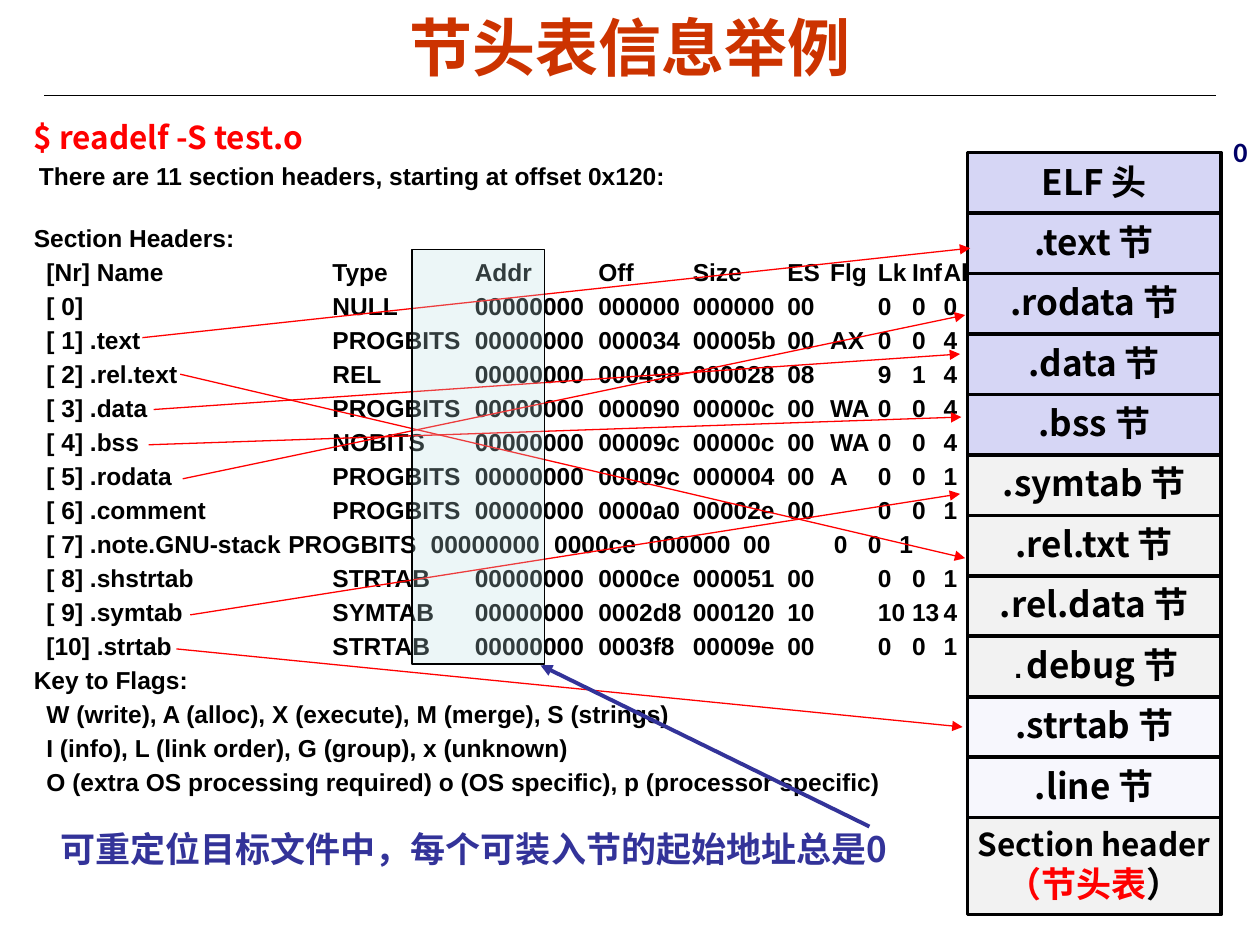
from typing import NamedTuple, Optional

from lxml import etree
from pptx import Presentation
from pptx import util as u
from pptx.dml.color import RGBColor
from pptx.enum import shapes, text
from pptx.oxml import ns

BLACK = RGBColor(0x00, 0x00, 0x00)
RED = RGBColor(0xFF, 0x00, 0x00)
TITLE_RED = RGBColor(0xCC, 0x33, 0x00)
NAVY = RGBColor(0x00, 0x00, 0x66)
INDIGO = RGBColor(0x33, 0x33, 0x99)
LAVENDER = RGBColor(0xD6, 0xD6, 0xF5)
GREY = RGBColor(0xF2, 0xF2, 0xF2)
TEAL = RGBColor(0xBB, 0xE0, 0xE3)
SANS, CJK, MONO = "Arial", "Noto Sans CJK SC", "Courier New"


class Run(NamedTuple):
    words: str
    size: float = 14
    color: RGBColor = BLACK
    font: str = SANS


class Section(NamedTuple):
    lines: list[list[Run]]
    fill: RGBColor
    opacity: Optional[int] = None
    height: float = 0.48
    spacing: float = 0.94


class Arrow(NamedTuple):
    start: tuple[float, float]
    end: tuple[float, float]
    color: RGBColor = RED
    width: float = 0.75


def add_runs(paragraph, runs: list[Run]) -> None:
    for item in runs:
        run = paragraph.add_run()
        run.text = item.words
        font = run.font
        font.size, font.bold, font.name = u.Pt(item.size), True, item.font
        font.color.rgb = item.color
        east_asian = etree.Element(ns.qn("a:ea"), typeface=CJK)
        run._r.rPr.find(ns.qn("a:latin")).addnext(east_asian)


def add_text(slide, box: tuple[float, ...], wrap: bool = True):
    frame = slide.shapes.add_textbox(*map(u.Inches, box)).text_frame
    frame.word_wrap = wrap
    return frame


def set_layout(paragraph, left: float, tabs: tuple[float, ...]) -> None:
    props = paragraph._p.get_or_add_pPr()
    if left:
        props.set("marL", str(u.Inches(left)))
    if tabs:
        stops = etree.SubElement(props, ns.qn("a:tabLst"))
        for stop in tabs:
            etree.SubElement(stops, ns.qn("a:tab"), pos=str(u.Inches(stop)), algn="l")


def add_box(slide, box: tuple[float, ...], fill: RGBColor, opacity: Optional[int], width: float):
    shape = slide.shapes.add_shape(shapes.MSO_SHAPE.RECTANGLE, *map(u.Inches, box))
    shape.shadow.inherit = False
    shape.fill.solid()
    shape.fill.fore_color.rgb = fill
    if opacity is not None:
        color = shape._element.spPr.find(".//" + ns.qn("a:srgbClr"))
        etree.SubElement(color, ns.qn("a:alpha"), val=str(opacity * 1000))
    shape.line.color.rgb = BLACK
    shape.line.width = u.Pt(width)
    return shape


def add_section(slide, section: Section, top: float) -> None:
    shape = add_box(slide, (7.68, top, 2.01, section.height), section.fill, section.opacity, 2)
    frame = shape.text_frame
    frame.word_wrap = False
    frame.vertical_anchor = text.MSO_ANCHOR.MIDDLE
    for index, runs in enumerate(section.lines):
        paragraph = frame.add_paragraph() if index else frame.paragraphs[0]
        paragraph.alignment = text.PP_ALIGN.CENTER
        paragraph.line_spacing = section.spacing
        add_runs(paragraph, runs)


def add_line(slide, arrow: Arrow, head: bool = True) -> None:
    line = slide.shapes.add_connector(
        shapes.MSO_CONNECTOR.STRAIGHT, *map(u.Inches, arrow.start + arrow.end))
    line.line.color.rgb = arrow.color
    line.line.width = u.Pt(arrow.width)
    if head:
        etree.SubElement(line.line._get_or_add_ln(), ns.qn("a:tailEnd"), type="triangle")
    etree.SubElement(line._element.spPr, ns.qn("a:effectLst"))


# Columns of the readelf table, measured from the left edge of the text
COLUMNS = (0.1, 2.37, 3.5, 4.48, 5.23, 5.98, 6.32, 6.7, 6.97, 7.22)
LONG_NAME_SHIFT = 0.35
HEADERS = [
    ("[Nr] Name", "Type", "Addr", "Off", "Size", "ES", "Flg", "Lk", "Inf", "Al"),
    ("[ 0]", "NULL", "00000000", "000000", "000000", "00", "", "0", "0", "0"),
    ("[ 1] .text", "PROGBITS", "00000000", "000034", "00005b", "00", "AX", "0", "0", "4"),
    ("[ 2] .rel.text", "REL", "00000000", "000498", "000028", "08", "", "9", "1", "4"),
    ("[ 3] .data", "PROGBITS", "00000000", "000090", "00000c", "00", "WA", "0", "0", "4"),
    ("[ 4] .bss", "NOBITS", "00000000", "00009c", "00000c", "00", "WA", "0", "0", "4"),
    ("[ 5] .rodata", "PROGBITS", "00000000", "00009c", "000004", "00", "A", "0", "0", "1"),
    ("[ 6] .comment", "PROGBITS", "00000000", "0000a0", "00002e", "00", "", "0", "0", "1"),
    ("[ 7] .note.GNU-stack", "PROGBITS", "00000000", "0000ce", "000000", "00", "", "0", "0", "1"),
    ("[ 8] .shstrtab", "STRTAB", "00000000", "0000ce", "000051", "00", "", "0", "0", "1"),
    ("[ 9] .symtab", "SYMTAB", "00000000", "0002d8", "000120", "10", "", "10", "13", "4"),
    ("[10] .strtab", "STRTAB", "00000000", "0003f8", "00009e", "00", "", "0", "0", "1"),
]
FLAGS = [
    "W (write), A (alloc), X (execute), M (merge), S (strings)",
    "I (info), L (link order), G (group), x (unknown)",
    "O (extra OS processing required) o (OS specific), p (processor specific)",
]


def add_listing(slide) -> None:
    frame = add_text(slide, (0.17, 0.91, 9, 5.66))
    command = frame.paragraphs[0]
    command.line_spacing = 0.95
    add_runs(command, [Run("$ readelf -S test.o", 18, RED, CJK)])

    def add_row(words: str, left: float = 0, tabs: tuple[float, ...] = (), before: float = 3.5) -> None:
        paragraph = frame.add_paragraph()
        set_layout(paragraph, left, tabs)
        paragraph.line_spacing = 0.95
        paragraph.space_before = u.Pt(before)
        add_runs(paragraph, [Run(words)])

    add_row("There are 11 section headers, starting at offset 0x120:", 0.04)
    add_row("Section Headers:", before=19.5)
    for row in HEADERS:
        shift = LONG_NAME_SHIFT if "GNU-stack" in row[0] else 0
        stops = COLUMNS[:1] + tuple(stop - shift for stop in COLUMNS[1:])
        add_row("\t" + "\t".join(row), tabs=stops)
    add_row("Key to Flags:")
    for flag in FLAGS:
        add_row(flag, 0.1)


def named(name: str, fill: RGBColor, opacity: Optional[int] = None) -> Section:
    return Section([[Run(f"{name} 节", 20, BLACK, CJK)]], fill, opacity)


SECTIONS = [
    Section([[Run("ELF 头", 20, BLACK, CJK)]], LAVENDER, spacing=0.98),
    *(named(name, LAVENDER) for name in (".text", ".rodata", ".data", ".bss")),
    *(named(name, GREY) for name in (".symtab", ".rel.txt", ".rel.data")),
    Section([[Run(".", 16, BLACK, MONO), Run("debug 节", 20, BLACK, CJK)]], GREY),
    *(named(name, LAVENDER, 19) for name in (".strtab", ".line")),
    Section([[Run("Section header", 18, BLACK, CJK)],
             [Run("（节头表", 20, RED, CJK), Run("）", 20, BLACK, CJK)]],
            GREY, height=0.77, spacing=0.98),
]
SECTION_TOP, SECTION_STEP = 1.21, 0.48
LINKS = [
    Arrow((1.13, 2.68), (7.7, 1.97)),
    Arrow((1.43, 2.97), (7.66, 4.43)),
    Arrow((1.22, 3.25), (7.62, 2.81)),
    Arrow((1.18, 3.53), (7.63, 3.31)),
    Arrow((1.45, 3.8), (7.66, 2.5)),
    Arrow((1.51, 4.88), (7.62, 3.92)),
    Arrow((1.4, 5.15), (7.64, 5.77)),
]


def main() -> None:
    deck = Presentation()
    deck.slide_width, deck.slide_height = u.Inches(10), u.Inches(7.5)
    slide = deck.slides.add_slide(deck.slide_layouts[6])

    # Title and rule
    add_line(slide, Arrow((0.35, 0.76), (9.65, 0.76), BLACK), head=False)
    title = add_text(slide, (0.5, 0.06, 9, 0.61))
    title.vertical_anchor = text.MSO_ANCHOR.MIDDLE
    title.paragraphs[0].alignment = text.PP_ALIGN.CENTER
    add_runs(title.paragraphs[0], [Run("节头表信息举例", 36, TITLE_RED)])

    add_listing(slide)

    # Layout of the object file, with its starting offset
    for index, section in enumerate(SECTIONS):
        add_section(slide, section, SECTION_TOP + index * SECTION_STEP)
    offset = add_text(slide, (9.69, 1.03, 0.31, 0.36), wrap=False)
    offset.paragraphs[0].line_spacing = 0.98
    add_runs(offset.paragraphs[0], [Run("0", 16, NAVY, "Calibri")])

    # Links from table rows to file sections
    for link in LINKS:
        add_line(slide, link)

    # Address column and its remark
    add_box(slide, (3.27, 1.98, 1.05, 3.29), TEAL, 27, 0.75)
    remark = add_text(slide, (0.38, 6.52, 6.81, 0.77)).paragraphs[0]
    add_runs(remark, [Run("可重定位目标文件中，每个可装入节的起始地址总是0", 20, INDIGO, CJK)])
    add_line(slide, Arrow((6.9, 6.56), (4.29, 5.28), INDIGO, 2.25))

    deck.save("out.pptx")


if __name__ == "__main__":
    main()
